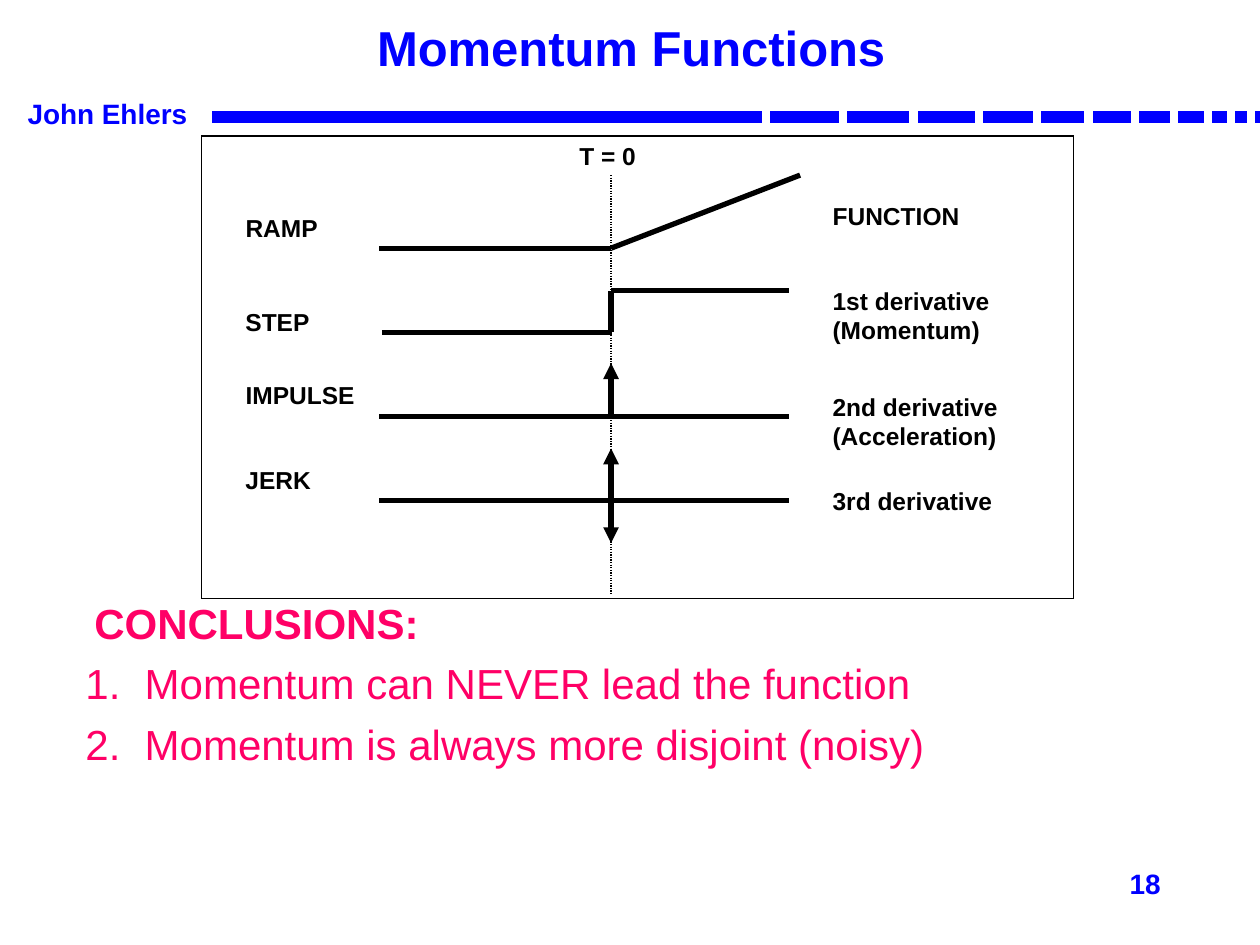
from collections import namedtuple

from lxml.etree import SubElement
from pptx import Presentation
from pptx.dml.color import RGBColor
from pptx.enum.dml import MSO_LINE_DASH_STYLE as Dash
from pptx.enum.shapes import MSO_CONNECTOR as Connector, MSO_SHAPE as Shape
from pptx.enum.text import MSO_ANCHOR as Anchor, PP_ALIGN as Align
from pptx.oxml.ns import qn
from pptx.util import Inches, Pt

Box = namedtuple("Box", "left top width height")
BLUE, PINK, BLACK, WHITE = "0000FF", "FF0066", "000000", "FFFFFF"


def color(value):
    """Turn a hex string into a colour."""
    return RGBColor.from_string(value)


def place(shape, box):
    """Move a shape to a box given in inches."""
    shape.left, shape.top, shape.width, shape.height = map(Inches, box)


def write(para, text, size, tint, bold=True, align=Align.LEFT):
    """Add one formatted run to a paragraph."""
    para.alignment = align
    span = para.add_run()
    span.text = text
    span.font.name = "Arial"
    span.font.size = Pt(size)
    span.font.bold = bold
    span.font.color.rgb = color(tint)


def add_text(page, box, lines, size, tint, wrap=False, bold=True, align=Align.LEFT):
    """Add a text box with one paragraph per line and return its frame."""
    frame = page.shapes.add_textbox(*map(Inches, box)).text_frame
    frame.word_wrap = wrap
    for index, line in enumerate(lines):
        para = frame.add_paragraph() if index else frame.paragraphs[0]
        write(para, line, size, tint, bold, align)
    return frame


def add_rect(page, box, fill, outline, weight):
    """Add a plain rectangle with sharp corners."""
    rect = page.shapes.add_shape(Shape.RECTANGLE, *map(Inches, box))
    rect.shadow.inherit = False
    rect.fill.solid()
    rect.fill.fore_color.rgb = color(fill)
    rect.line.color.rgb = color(outline)
    rect.line.width = Pt(weight)
    SubElement(rect.line._get_or_add_ln(), qn("a:miter"), lim="800000")


def add_line(page, start, end, weight=3, dash=None, arrows=()):
    """Add a straight black line, with arrowheads at the named ends."""
    line = page.shapes.add_connector(Connector.STRAIGHT, *map(Inches, start + end))
    line.line.color.rgb = color(BLACK)
    line.line.width = Pt(weight)
    if dash:
        line.line.dash_style = dash
    for arrow in arrows:
        SubElement(line.line._get_or_add_ln(), qn(f"a:{arrow}"), type="triangle")
    SubElement(line._element.spPr, qn("a:effectLst"))


def add_title(page, box):
    """Place and format the slide title."""
    title = page.shapes.title
    place(title, box)
    title.text_frame.vertical_anchor = Anchor.MIDDLE
    write(title.text_frame.paragraphs[0], "Momentum Functions", 28, BLUE, align=Align.CENTER)


def add_banner(page, box):
    """Draw the author name and the bar that breaks into shrinking dashes."""
    add_text(page, Box(box.left, box.top, 1.52, box.height), ["John Ehlers"], 16, BLUE)
    left = box.left + 1.57
    for width in (4.35, 0.53, 0.48, 0.44, 0.38, 0.33, 0.29, 0.23, 0.19, 0.1, 0.08, 0.03):
        add_rect(page, Box(left, box.top + 0.17, width, 0.08), BLUE, BLUE, 1)
        left += width + 0.08


def add_diagram(page, box):
    """Draw the ramp, step, impulse and jerk signals around T = 0."""
    add_rect(page, box, WHITE, BLACK, 0.75)
    start, zero, end = (box.left + offset for offset in (1.41, 3.25, 4.66))
    ramp, step, impulse, jerk = (box.top + 0.89 + row * 2 / 3 for row in range(4))
    high = step - 0.33

    add_line(page, (zero, box.top + 0.31), (zero, box.top + 3.64), 0.75, Dash.ROUND_DOT)
    add_text(page, Box(zero - 0.35, box.top - 0.01, 0.7, 0.34), ["T = 0"], 14, BLACK)

    add_line(page, (start, ramp), (zero, ramp))
    add_line(page, (zero, ramp), (zero + 1.5, ramp - 0.58))
    add_line(page, (start + 0.02, step), (zero + 0.01, step))
    add_line(page, (zero, high), (zero, step))
    add_line(page, (zero, high), (end, high))
    for level in (impulse, jerk):
        add_line(page, (start, level), (end, level))
    add_line(page, (zero, impulse), (zero, impulse - 0.42), arrows=["tailEnd"])
    add_line(page, (zero, jerk + 0.34), (zero, jerk - 0.41), arrows=["headEnd", "tailEnd"])

    labels = [
        (0.25, 0.56, 0.85, ["RAMP"]),
        (0.25, 1.31, 0.8, ["STEP"]),
        (0.25, 1.89, 1.15, ["IMPULSE"]),
        (0.25, 2.56, 0.8, ["JERK"]),
        (4.91, 0.47, 1.3, ["FUNCTION"]),
        (4.91, 1.14, 1.6, ["1st derivative", "(Momentum)"]),
        (4.91, 1.98, 1.6, ["2nd derivative", "(Acceleration)"]),
        (4.91, 2.73, 1.6, ["3rd derivative"]),
    ]
    for left, top, width, lines in labels:
        height = 0.1 + 0.24 * len(lines)
        add_text(page, Box(box.left + left, box.top + top, width, height), lines, 14, BLACK)


def add_conclusions(page, box):
    """Write the conclusions heading and its numbered list."""
    heading = Box(box.left + 0.07, box.top, 2.92, 0.5)
    add_text(page, heading, ["CONCLUSIONS:"], 24, PINK, wrap=True)
    points = ["Momentum can NEVER lead the function", "Momentum is always more disjoint (noisy)"]
    body = Box(box.left, box.top + 0.48, box.width, box.height - 0.48)
    frame = add_text(page, body, points, 24, PINK, wrap=True, bold=False)
    for index, para in enumerate(frame.paragraphs):
        properties = para._p.get_or_add_pPr()
        properties.set("marL", str(Inches(0.47)))
        properties.set("indent", str(Inches(-0.47)))
        SubElement(properties, qn("a:buFont"), typeface="Arial")
        SubElement(properties, qn("a:buAutoNum"), type="arabicPeriod")
        if index:
            para.space_before = Pt(6)


def add_page_number(page, box):
    """Write the page number."""
    add_text(page, box, ["18"], 16, BLUE, wrap=True, align=Align.RIGHT)


def main():
    """Build and save the deck."""
    deck = Presentation()
    deck.slide_width, deck.slide_height = Inches(10), Inches(7.5)
    page = deck.slides.add_slide(deck.slide_layouts[5])
    add_banner(page, Box(0.12, 0.72, 9.88, 0.37))
    add_title(page, Box(1.28, 0, 7.46, 0.75))
    add_conclusions(page, Box(0.58, 4.69, 8.5, 1.81))
    add_diagram(page, Box(1.6, 1.08, 6.92, 3.67))
    add_page_number(page, Box(7.23, 6.83, 2.08, 0.5))
    deck.save("out.pptx")


if __name__ == "__main__":
    main()
